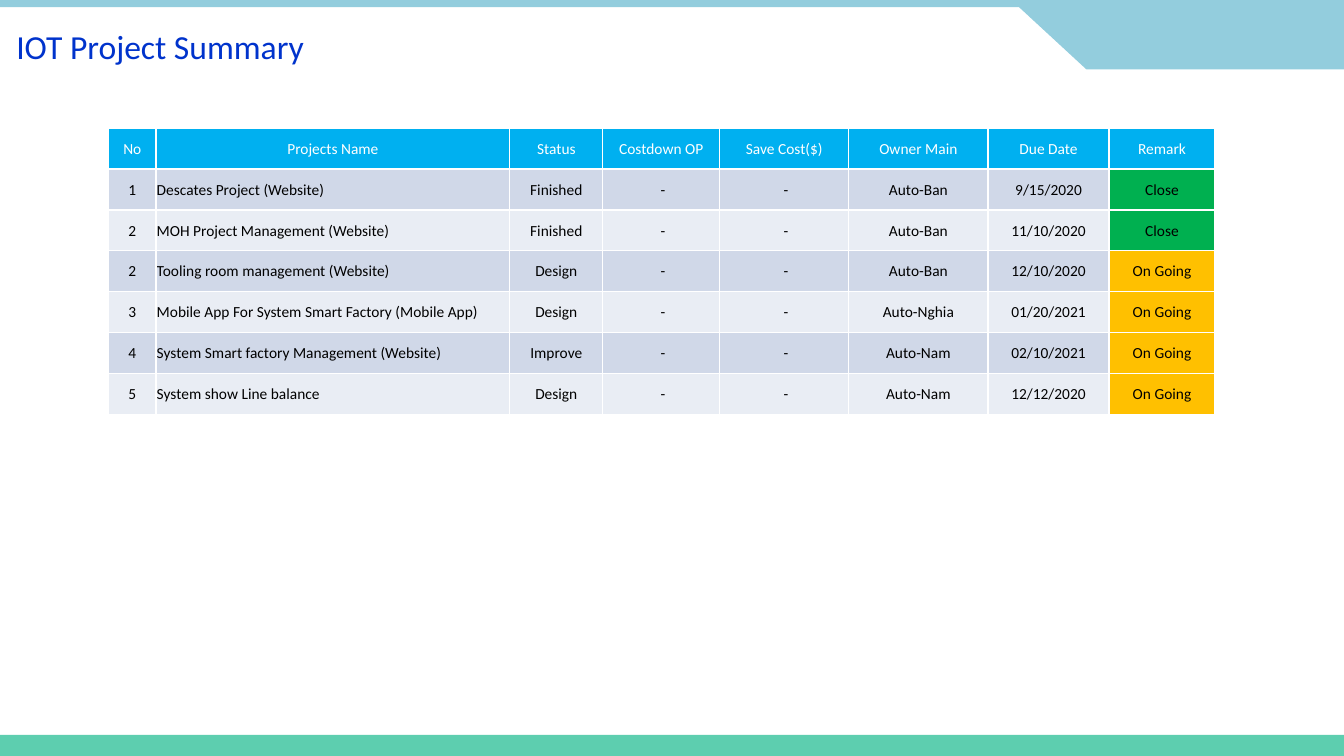
from pptx import Presentation
from pptx.dml.color import RGBColor
from pptx.enum.shapes import MSO_SHAPE as Shape
from pptx.enum.text import MSO_ANCHOR as Anchor, MSO_AUTO_SIZE as Fit, PP_ALIGN as Align
from pptx.util import Cm, Pt

# Content
TITLE = "IOT Project Summary"
HEADS = ["No", "Projects Name", "Status", "Costdown OP",
         "Save Cost($)", "Owner Main", "Due Date", "Remark"]
ROWS = [
    ("1", "Descates Project (Website)", "Finished", "Auto-Ban", "9/15/2020", "Close"),
    ("2", "MOH Project Management (Website)", "Finished", "Auto-Ban", "11/10/2020", "Close"),
    ("2", "Tooling room management (Website)", "Design", "Auto-Ban", "12/10/2020", "On Going"),
    ("3", "Mobile App For System Smart Factory (Mobile App)", "Design",
     "Auto-Nghia", "01/20/2021", "On Going"),
    ("4", "System Smart factory Management (Website)", "Improve",
     "Auto-Nam", "02/10/2021", "On Going"),
    ("5", "System show Line balance", "Design", "Auto-Nam", "12/12/2020", "On Going"),
]
COSTS = (" -", " -")  # neither cost is known for any project

# Look
FONT = "Calibri"
WHITE = RGBColor(0xFF, 0xFF, 0xFF)
BLACK = RGBColor(0, 0, 0)
BLUE = RGBColor(0x00, 0x33, 0xCC)
SKY = RGBColor(0x93, 0xCD, 0xDD)
MINT = RGBColor(0x5D, 0xCE, 0xAF)
HEAD = RGBColor(0x00, 0xB0, 0xF0)
BANDS = [RGBColor(0xD0, 0xD8, 0xE8), RGBColor(0xE9, 0xED, 0xF4)]
MARKS = {"Close": RGBColor(0x00, 0xB0, 0x50), "On Going": RGBColor(0xFF, 0xC0, 0x00)}

# Sizes in centimetres
WIDE, HIGH = 33.87, 19.05
COLS = [1.19, 8.92, 2.34, 2.95, 3.25, 3.51, 3.05, 2.67]
ROW = 1.03
FOOT = 0.53
BANNER = [(0, 0), (WIDE, 0), (WIDE, 1.75), (27.38, 1.75), (25.68, 0.18), (0, 0.18)]


def paint(shape, color):
    shape.fill.solid()
    shape.fill.fore_color.rgb = color
    shape.line.fill.background()
    shape.shadow.inherit = False


def style(para, size, color, align):
    para.alignment = align
    font = para.font
    font.name, font.size, font.bold = FONT, Pt(size), False
    font.color.rgb = color


def fill_cell(cell, text, fill, color, align):
    cell.text = text
    cell.vertical_anchor = Anchor.MIDDLE
    cell.margin_left = cell.margin_right = cell.margin_top = Cm(0.02)
    cell.margin_bottom = 0
    cell.fill.solid()
    cell.fill.fore_color.rgb = fill
    style(cell.text_frame.paragraphs[0], 11, color, align)


def main():
    prs = Presentation()
    prs.slide_width, prs.slide_height = Cm(WIDE), Cm(HIGH)
    slide = prs.slides.add_slide(prs.slide_layouts[5])
    shapes = slide.shapes

    # Banner and footer
    points = [(Cm(x), Cm(y)) for x, y in BANNER]
    path = shapes.build_freeform(*points[0])
    path.add_line_segments(points[1:], close=True)
    paint(path.convert_to_shape(), SKY)
    foot = shapes.add_shape(Shape.RECTANGLE, 0, Cm(HIGH - FOOT), Cm(WIDE), Cm(FOOT))
    paint(foot, MINT)

    # Title
    title = shapes.title
    title.left, title.top, title.width, title.height = Cm(0.28), Cm(0.51), Cm(7.59), Cm(1.27)
    frame = title.text_frame
    frame.text = TITLE
    frame.word_wrap = False
    frame.auto_size = Fit.SHAPE_TO_FIT_TEXT
    frame.vertical_anchor = Anchor.TOP
    frame.margin_left = frame.margin_right = Cm(0.13)
    frame.margin_top = frame.margin_bottom = Cm(0.13)
    style(frame.paragraphs[0], 24, BLUE, Align.LEFT)

    # Project table; its default style draws the white grid
    count = len(ROWS) + 1
    table = shapes.add_table(count, len(COLS), Cm(2.74), Cm(3.23),
                             Cm(sum(COLS)), Cm(ROW * count)).table
    for col, width in zip(table.columns, COLS):
        col.width = Cm(width)
    for row in table.rows:
        row.height = Cm(ROW)
    for c, head in enumerate(HEADS):
        fill_cell(table.cell(0, c), head, HEAD, WHITE, Align.CENTER)
    for r, row in enumerate(ROWS):
        for c, text in enumerate(row[:3] + COSTS + row[3:]):
            fill = MARKS.get(text, BANDS[r % 2])
            align = Align.LEFT if c == 1 else Align.CENTER
            fill_cell(table.cell(r + 1, c), text, fill, BLACK, align)

    prs.save("out.pptx")


if __name__ == "__main__":
    main()
